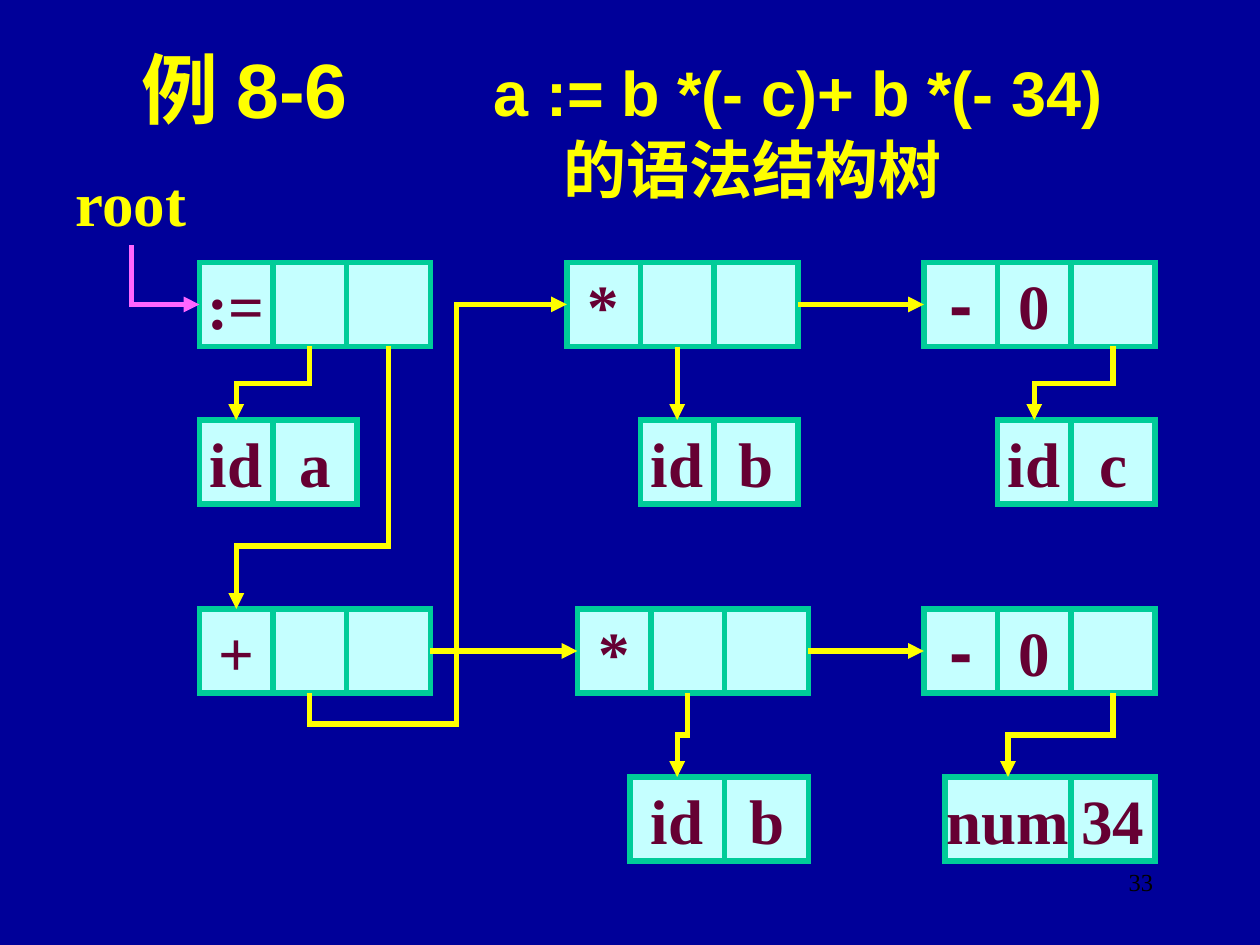
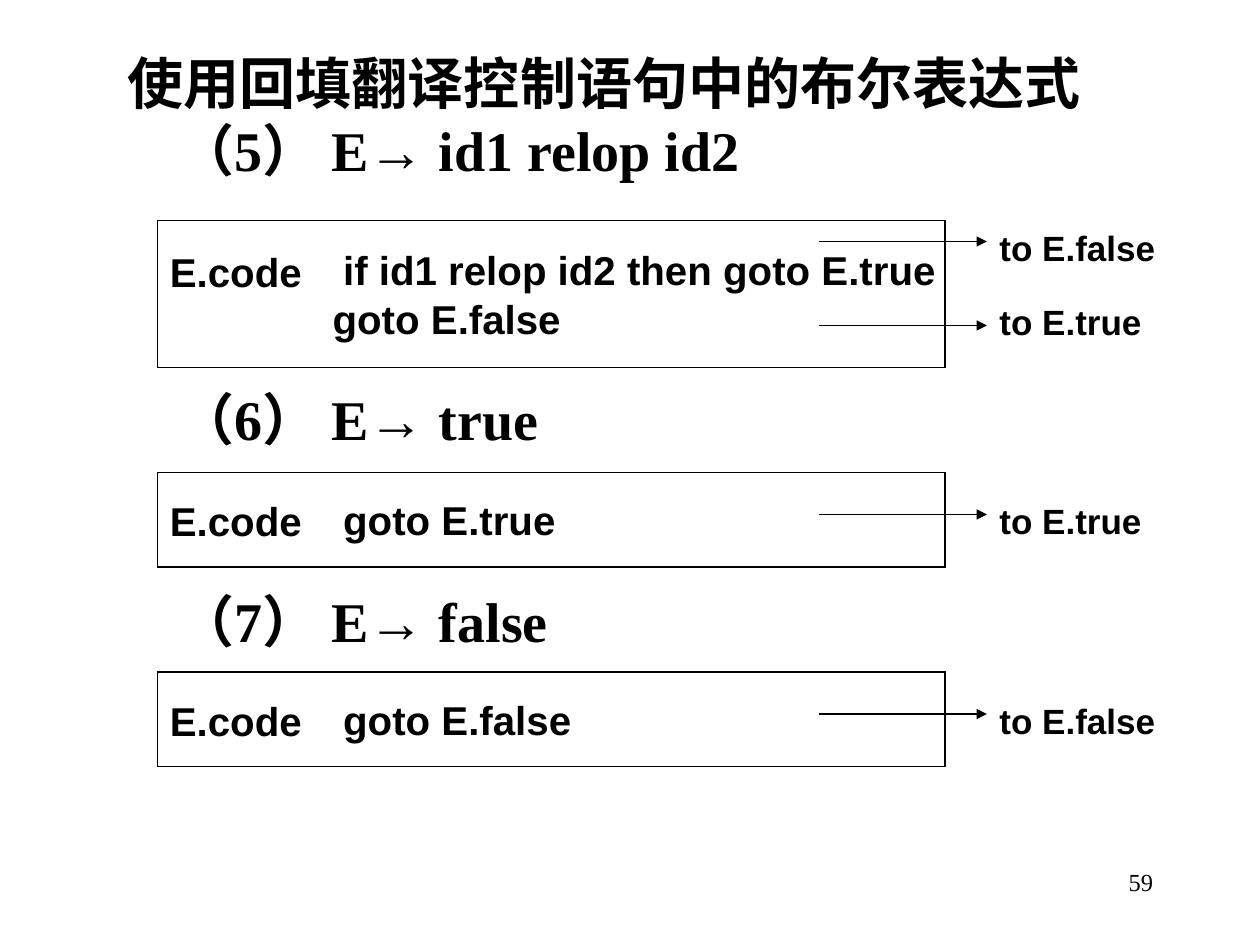
from lxml.etree import SubElement
from pptx import Presentation
from pptx.dml.color import RGBColor
from pptx.enum.shapes import MSO_CONNECTOR as CXN, MSO_SHAPE
from pptx.enum.text import MSO_ANCHOR as ANCHOR, PP_ALIGN as ALIGN
from pptx.oxml.ns import qn
from pptx.util import Pt

COLORS = {"navy": "000099", "white": "FFFFFF", "black": "000000", "yellow": "FFFF00",
          "pink": "FF66FF", "cell": "C5FFFF", "border": "00CC99", "maroon": "660033"}
SERIF, SANS, SYMBOL = "Times New Roman", "Arial", "Montserrat"

# Tree slide: title parts as (text, size, left, top, width, height)
TREE_TITLE = [("例 8-6", 44, 74, 20, 180, 60),
              ("a := b *(- c)+ b *(- 34)", 36, 275, 27, 421, 50),
              ("的语法结构树", 36, 315, 68, 300, 56)]
# Node name -> left, top, cells as (text, width)
NODE_H = 48
NODES = {
    "assign": (114, 150, [(":=", 42), ("", 42), ("", 48)]),
    "mul_c": (324, 150, [("*", 42), ("", 42), ("", 48)]),
    "neg_c": (528, 150, [("-", 42), ("0", 42), ("", 48)]),
    "plus": (114, 348, [("+", 42), ("", 42), ("", 48)]),
    "mul_34": (330, 348, [("*", 42), ("", 42), ("", 48)]),
    "neg_34": (528, 348, [("-", 42), ("0", 42), ("", 48)]),
    "a": (114, 240, [("id", 42), ("a", 48)]),
    "b_upper": (366, 240, [("id", 42), ("b", 48)]),
    "c": (570, 240, [("id", 42), ("c", 48)]),
    "b_lower": (360, 444, [("id", 54), ("b", 48)]),
    "num": (540, 444, [("num", 72), ("34", 48)]),
}
TOP, LEFT, BOTTOM, RIGHT = range(4)
# Parent node, parent cell, side left from, child node, side reached
STRAIGHT = [("plus", 2, RIGHT, "mul_34", LEFT), ("mul_c", 2, RIGHT, "neg_c", LEFT),
            ("mul_34", 2, RIGHT, "neg_34", LEFT), ("mul_c", 1, BOTTOM, "b_upper", TOP)]
# Parent node, parent cell, child node, share of the drop where the arrow turns
STEPPED = [("assign", 1, "a", 0.5), ("assign", 2, "plus", 0.76), ("mul_34", 1, "b_lower", 0.5),
           ("neg_c", 2, "c", 0.5), ("neg_34", 2, "num", 0.5)]

# Code slide: heading, its top, box top, box height, lines (text, indent),
# exits (label, label top, arrow height)
CODE_TITLE = "使用回填翻译控制语句中的布尔表达式"
RULES = [
    ("（5） E→ id1 relop id2", 66, 126, 84,
     [("if id1 relop id2 then goto E.true", 99), ("goto E.false", 93)],
     [("to E.false", 126, 138), ("to E.true", 168, 186)]),
    ("（6） E→ true", 219.5, 270, 54, [("goto E.true", 99)], [("to E.true", 282, 294)]),
    ("（7） E→ false", 335, 384, 54, [("goto E.false", 99)], [("to E.false", 396, 408)]),
]
CODE_LEFT, CODE_W, CODE_SIZE, CODE_LINE = 90, 450, 23, 26.5
ARROW_X, EXIT_X = 468, 564


def rgb(name):
    return RGBColor.from_string(COLORS[name])


def new_slide(prs, background, number):
    s = prs.slides.add_slide(prs.slide_layouts[6])
    s.background.fill.solid()
    s.background.fill.fore_color.rgb = rgb(background)
    add_text(s, (516, 492, 150, 36), number, 14, SERIF, "black", bold=False, align=ALIGN.RIGHT)
    return s


def style(p, size, font, color, bold=True, align=ALIGN.LEFT):
    p.alignment = align
    p.font.size, p.font.name, p.font.bold = Pt(size), font, bold
    p.font.color.rgb = rgb(color)


def add_text(s, box, text, size, font, color, bold=True, align=ALIGN.LEFT, wrap=True):
    tb = s.shapes.add_textbox(*map(Pt, box))
    tb.text_frame.word_wrap = wrap
    p = tb.text_frame.paragraphs[0]
    p.text = text
    style(p, size, font, color, bold, align)
    return tb


def set_line(shape, color, width):
    """Colour, width and square corners; returns the line element."""
    shape.line.color.rgb, shape.line.width = rgb(color), Pt(width)
    ln = shape.line._get_or_add_ln()
    SubElement(ln, qn("a:miter"), lim="800000")
    return ln


def add_rect(s, box, line, width, fill=None):
    sp = s.shapes.add_shape(MSO_SHAPE.RECTANGLE, *map(Pt, box))
    sp.shadow.inherit = False
    if fill:
        sp.fill.solid()
        sp.fill.fore_color.rgb = rgb(fill)
    else:
        sp.fill.background()
    set_line(sp, line, width)
    sp.text_frame.word_wrap = False
    sp.text_frame.vertical_anchor = ANCHOR.MIDDLE
    return sp


def add_arrow(s, kind, color, width, points=(0, 0, 0, 0)):
    cxn = s.shapes.add_connector(kind, *map(Pt, points))
    SubElement(set_line(cxn, color, width), qn("a:tailEnd"), type="triangle")
    SubElement(cxn._element.spPr, qn("a:effectLst"))
    return cxn


def join(cxn, start, start_side, end, end_side):
    cxn.begin_connect(start, start_side)
    cxn.end_connect(end, end_side)


def add_elbow(s, start, end, end_side, preset, turns=(), rot=90, flip="", color="yellow"):
    """Bent arrow leaving the bottom of start; turns are shares of its height, then width."""
    cxn = add_arrow(s, CXN.ELBOW, color, 3)
    join(cxn, start, BOTTOM, end, end_side)
    x1, y1, x2, y2 = cxn.begin_x, cxn.begin_y, cxn.end_x, cxn.end_y
    # The frame is turned a quarter, so its width is the vertical distance
    w, h = abs(y2 - y1), abs(x2 - x1)
    cxn.left, cxn.top = (x1 + x2 - w) // 2, (y1 + y2 - h) // 2
    cxn.width, cxn.height = w, h
    spPr = cxn._element.spPr
    xfrm, geom = spPr.find(qn("a:xfrm")), spPr.find(qn("a:prstGeom"))
    xfrm.set("rot", str(rot * 60000))
    xfrm.set("flipH", str(int("h" in flip)))
    xfrm.set("flipV", str(int("v" in flip)))
    geom.set("prst", preset)
    guides = geom.find(qn("a:avLst"))
    if guides is None:
        guides = SubElement(geom, qn("a:avLst"))
    for i, turn in enumerate(turns, 1):
        SubElement(guides, qn("a:gd"), name=f"adj{i}", fmla=f"val {round(turn * 100000)}")


def add_node(s, x, y, cells):
    shapes = []
    for text, width in cells:
        sp = add_rect(s, (x, y, width, NODE_H), "border", 3, "cell")
        if text:
            p = sp.text_frame.paragraphs[0]
            p.text = text
            style(p, 36, SYMBOL if text == "-" else SERIF, "maroon", align=ALIGN.CENTER)
        shapes.append(sp)
        x += width
    return shapes


def tree_slide(prs):
    s = new_slide(prs, "navy", "33")
    for text, size, *box in TREE_TITLE:
        tf = add_text(s, box, text, size, SANS, "yellow").text_frame
        tf.vertical_anchor = ANCHOR.MIDDLE

    nodes = {name: add_node(s, *node) for name, node in NODES.items()}
    for parent, cell, side, child, child_side in STRAIGHT:
        cxn = add_arrow(s, CXN.STRAIGHT, "yellow", 3)
        join(cxn, nodes[parent][cell], side, nodes[child][0], child_side)
    for parent, cell, child, turn in STEPPED:
        add_elbow(s, nodes[parent][cell], nodes[child][0], TOP, "bentConnector3", [turn])
    add_elbow(s, nodes["plus"][1], nodes["mul_c"][0], LEFT, "bentConnector4",
              [-0.08, 0.57], flip="hv")
    root = add_text(s, (36, 90, 78, 50), "root", 36, SERIF, "yellow", wrap=False)
    add_elbow(s, root, nodes["assign"][0], LEFT, "bentConnector2", rot=270, flip="h",
              color="pink")


def code_slide(prs):
    s = new_slide(prs, "white", "59")
    headings = [(CODE_TITLE, 66, 27.5)] + [(rule[0], 95, rule[1]) for rule in RULES]
    for text, x, y in headings:
        tf = add_text(s, (x, y, 600, 46), text, 32, SERIF, "black").text_frame
        tf.margin_top = tf.margin_bottom = 0
    for _, _, y, height, lines, exits in RULES:
        tf = add_rect(s, (CODE_LEFT, y, CODE_W, height), "black", 0.75).text_frame
        for i, (text, margin) in enumerate(lines):
            p = tf.add_paragraph() if i else tf.paragraphs[0]
            p.text = text
            style(p, CODE_SIZE, SANS, "black")
            p._p.get_or_add_pPr().set("marL", str(Pt(margin)))
        first_line = y + (height - len(lines) * CODE_LINE) / 2
        label = add_text(s, (CODE_LEFT, first_line, 96, CODE_LINE), "E.code",
                         CODE_SIZE, SANS, "black", wrap=False)
        label.text_frame.margin_top = label.text_frame.margin_bottom = 0
        for target, target_y, arrow_y in exits:
            add_arrow(s, CXN.STRAIGHT, "black", 0.75, (ARROW_X, arrow_y, EXIT_X, arrow_y))
            add_text(s, (EXIT_X, target_y, 132, 32), target, 20, SANS, "black")


def main():
    prs = Presentation()
    prs.slide_width, prs.slide_height = Pt(720), Pt(540)
    tree_slide(prs)
    code_slide(prs)
    prs.save("out.pptx")


if __name__ == "__main__":
    main()
